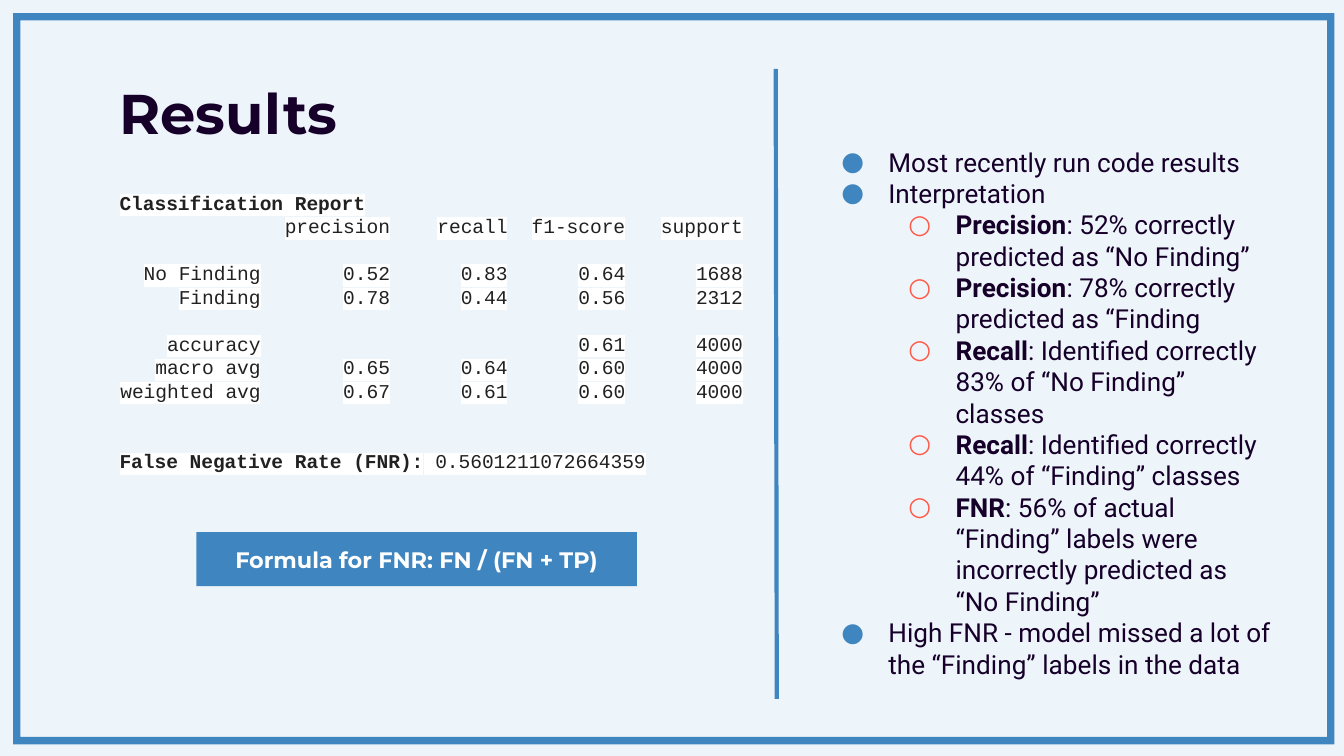
from dataclasses import dataclass

from lxml import etree
from pptx import Presentation
from pptx import util as u
from pptx.dml.color import RGBColor
from pptx.enum import shapes, text
from pptx.oxml.ns import qn


@dataclass(frozen=True)
class Theme:
    paper: str = "EEF5FA"
    blue: str = "3F85BF"
    ink: str = "16002A"
    coral: str = "FF5948"
    code: str = "212121"
    white: str = "FFFFFF"
    heading_font: str = "Montserrat"
    body_font: str = "Roboto"
    code_font: str = "Courier New"
    title_size: float = 30
    body_size: float = 14
    formula_size: float = 12
    code_size: float = 10.5
    line_factor: float = 1.2
    char_factor: float = 0.6


THEME = Theme()
COLUMN_ENDS = (12, 23, 33, 43, 53)
REPORT = [
    (0, "Classification Report", ""),
    (0, "", "\t\tprecision\trecall\tf1-score\tsupport"),
    (1, "", "\tNo Finding\t0.52\t0.83\t0.64\t1688"),
    (0, "", "\tFinding\t0.78\t0.44\t0.56\t2312"),
    (1, "", "\taccuracy\t\t\t0.61\t4000"),
    (0, "", "\tmacro avg\t0.65\t0.64\t0.60\t4000"),
    (0, "", "\tweighted avg\t0.67\t0.61\t0.60\t4000"),
    (2, "False Negative Rate (FNR):", " 0.5601211072664359"),
]
FINDINGS = [
    (0, "", "Most recently run code results"),
    (0, "", "Interpretation"),
    (1, "Precision", ": 52% correctly predicted as “No Finding”"),
    (1, "Precision", ": 78% correctly predicted as “Finding"),
    (1, "Recall", ": Identified correctly 83% of “No Finding” classes"),
    (1, "Recall", ": Identified correctly 44% of “Finding” classes"),
    (1, "FNR", ": 56% of actual “Finding” labels were incorrectly predicted as “No Finding”"),
    (0, "", "High FNR - model missed a lot of the “Finding” labels in the data"),
]


def rgb(color):
    return RGBColor.from_string(color)


def box(left, top, width, height):
    return [u.Cm(side) for side in (left, top, width, height)]


def add_xml(parent, tag, **attributes):
    return etree.SubElement(parent, qn(tag), attributes)


def add_run(paragraph, words, font, size, color, bold=False, highlight=None):
    run = paragraph.add_run()
    run.text = words
    run.font.name = font
    run.font.size = u.Pt(size)
    run.font.bold = bold
    run.font.color.rgb = rgb(color)
    if highlight:
        marker = etree.Element(qn("a:highlight"))
        add_xml(marker, "a:srgbClr", val=highlight)
        run.font.fill._xPr.find(qn("a:solidFill")).addnext(marker)


def set_insets(frame):
    frame.word_wrap = True
    frame.margin_left = frame.margin_right = u.Cm(0.25)
    frame.margin_top = frame.margin_bottom = u.Cm(0.25)


def add_text_frame(slide, bounds):
    frame = slide.shapes.add_textbox(*box(*bounds)).text_frame
    set_insets(frame)
    return frame


def add_paragraphs(frame, count):
    return [frame.paragraphs[0]] + [frame.add_paragraph() for _ in range(count - 1)]


def add_panel(slide, kind, bounds):
    panel = slide.shapes.add_shape(kind, *box(*bounds))
    panel.shadow.inherit = False
    panel.fill.solid()
    panel.fill.fore_color.rgb = rgb(THEME.blue)
    panel.line.fill.background()
    return panel


def add_divider(slide, start, end):
    divider = slide.shapes.add_connector(
        shapes.MSO_CONNECTOR.STRAIGHT, *[u.Cm(point) for point in start + end])
    divider.line.color.rgb = rgb(THEME.blue)
    divider.line.width = u.Pt(2.25)
    add_xml(divider._element.spPr, "a:effectLst")


def add_report(slide, bounds):
    size = THEME.code_size
    pitch = size * THEME.line_factor
    frame = add_text_frame(slide, bounds)
    for paragraph, (gap, label, values) in zip(add_paragraphs(frame, len(REPORT)), REPORT):
        paragraph.line_spacing = u.Pt(pitch)
        paragraph.space_before = u.Pt(gap * pitch)
        tabs = add_xml(paragraph._p.get_or_add_pPr(), "a:tabLst")
        for end in COLUMN_ENDS:
            add_xml(tabs, "a:tab", pos=str(u.Pt(end * size * THEME.char_factor)), algn="r")
        for words, bold in ((label, True), (values, False)):
            if words:
                add_run(paragraph, words, THEME.code_font, size, THEME.code, bold, THEME.white)


def add_findings(slide, bounds):
    bullets = (("●", THEME.blue), ("○", THEME.coral))
    frame = add_text_frame(slide, bounds)
    for paragraph, (level, term, words) in zip(add_paragraphs(frame, len(FINDINGS)), FINDINGS):
        paragraph.level = level
        paragraph.line_spacing = u.Pt(THEME.body_size * THEME.line_factor)
        mark, color = bullets[level]
        properties = paragraph._p.get_or_add_pPr()
        properties.set("marL", str(u.Cm(1.27 * (level + 1))))
        properties.set("indent", str(u.Cm(-0.89)))
        add_xml(add_xml(properties, "a:buClr"), "a:srgbClr", val=color)
        add_xml(properties, "a:buFont", typeface=THEME.body_font)
        add_xml(properties, "a:buChar", char=mark)
        for part, bold in ((term, True), (words, False)):
            if part:
                add_run(paragraph, part, THEME.body_font, THEME.body_size, THEME.ink, bold)


def add_formula(slide, bounds):
    formula = add_panel(slide, shapes.MSO_SHAPE.RECTANGLE, bounds)
    set_insets(formula.text_frame)
    formula.text_frame.vertical_anchor = text.MSO_ANCHOR.MIDDLE
    paragraph = formula.text_frame.paragraphs[0]
    paragraph.alignment = text.PP_ALIGN.CENTER
    add_run(paragraph, "Formula for FNR: FN / (FN + TP)",
            THEME.heading_font, THEME.formula_size, THEME.white, True)


def main():
    deck = Presentation()
    deck.slide_width, deck.slide_height = u.Cm(25.4), u.Cm(14.29)
    slide = deck.slides.add_slide(deck.slide_layouts[6])
    slide.background.fill.solid()
    slide.background.fill.fore_color.rgb = rgb(THEME.paper)

    border = add_panel(slide, shapes.MSO_SHAPE.FRAME, (0.25, 0.25, 24.97, 13.82))
    border.adjustments[0] = 0.01
    title = add_text_frame(slide, (2.01, 1.24, 21.41, 1.6))
    add_run(title.paragraphs[0], "Results",
            THEME.heading_font, THEME.title_size, THEME.ink, True)
    add_report(slide, (2.01, 3.35, 12.47, 6.5))
    add_divider(slide, (14.66, 1.3), (14.68, 13.21))
    add_findings(slide, (15.27, 2.51, 9.04, 9.5))
    add_formula(slide, (3.71, 10.06, 8.33, 1.02))
    deck.save("out.pptx")


if __name__ == "__main__":
    main()
